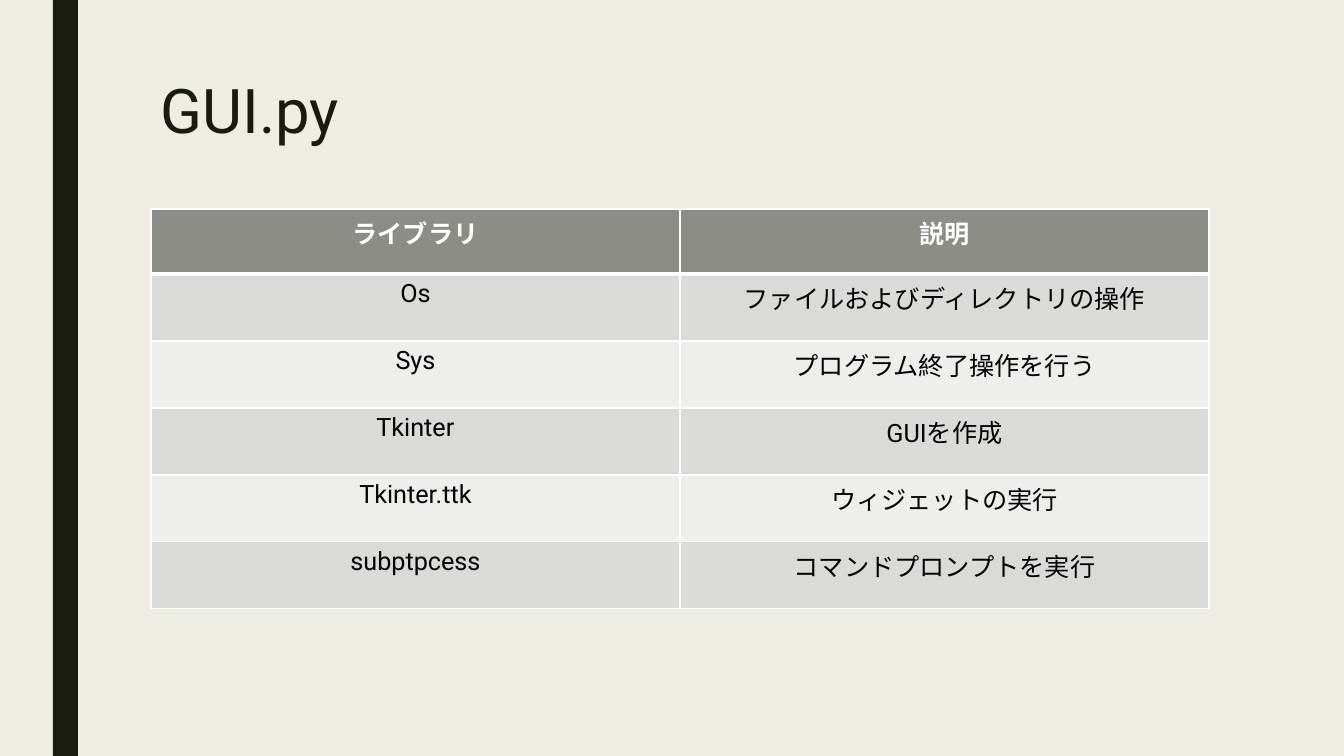
from lxml.etree import SubElement
from pptx import Presentation
from pptx.dml.color import RGBColor as RGB
from pptx.enum.shapes import MSO_SHAPE as SHAPE
from pptx.enum.text import MSO_ANCHOR as ANCHOR, PP_ALIGN as ALIGN
from pptx.oxml.ns import qn
from pptx.util import Pt

PX = 914400 / 100.8
FONT = "Roboto"
CREAM = RGB(0xEF, 0xED, 0xE3)
DARK = RGB(0x19, 0x1B, 0x0E)
GRAY = RGB(0x8C, 0x8D, 0x86)
BANDS = [RGB(0xDA, 0xDB, 0xD9), RGB(0xEE, 0xEE, 0xED)]
WHITE = RGB(0xFF, 0xFF, 0xFF)
BLACK = RGB(0, 0, 0)

ROWS = [
    ("ライブラリ", "説明"),
    ("Os", "ファイルおよびディレクトリの操作"),
    ("Sys", "プログラム終了操作を行う"),
    ("Tkinter", "GUIを作成"),
    ("Tkinter.ttk", "ウィジェットの実行"),
    ("subptpcess", "コマンドプロンプトを実行"),
]
HEAD_H, ROW_H = 65, 67


def emu(*vals):
    return [round(v * PX) for v in vals]


def style(para, size, color, bold=False):
    font = para.font
    font.name, font.size, font.bold = FONT, Pt(size), bold
    font.color.rgb = color


def add_bar(slide, box):
    bar = slide.shapes.add_shape(SHAPE.RECTANGLE, *emu(*box))
    bar.shadow.inherit = False
    bar.fill.solid()
    bar.fill.fore_color.rgb = DARK
    bar.line.fill.background()


def add_title(slide, box, text):
    frame = slide.shapes.add_textbox(*emu(*box)).text_frame
    frame.word_wrap = True
    frame.vertical_anchor = ANCHOR.TOP
    para = frame.paragraphs[0]
    para.text = text
    para.line_spacing = 0.89
    style(para, 44, DARK)


def add_edges(cell, top, base):
    # Edges must come before the fill, which is set afterwards
    props = cell._tc.get_or_add_tcPr()
    for side, width in zip("LRTB", (1, 1, top, base)):
        line = SubElement(props, qn(f"a:ln{side}"), w=str(Pt(width)))
        fill = SubElement(line, qn("a:solidFill"))
        SubElement(fill, qn("a:srgbClr"), val=str(WHITE))


def add_grid(slide, box, rows):
    shape = slide.shapes.add_table(len(rows), len(rows[0]), *emu(*box))
    table = shape.table
    for r, texts in enumerate(rows):
        head = r == 0
        table.rows[r].height = emu(HEAD_H if head else ROW_H)[0]
        for c, text in enumerate(texts):
            cell = table.cell(r, c)
            # A thick rule parts the header from the body
            add_edges(cell, 3 if r == 1 else 1, 3 if head else 1)
            cell.fill.solid()
            cell.fill.fore_color.rgb = GRAY if head else BANDS[(r - 1) % 2]
            para = cell.text_frame.paragraphs[0]
            para.text = text
            para.alignment = ALIGN.CENTER
            style(para, 18, WHITE if head else BLACK, head)


def build(deck):
    slide = deck.slides.add_slide(deck.slide_layouts[6])
    slide.background.fill.solid()
    slide.background.fill.fore_color.rgb = CREAM
    add_bar(slide, (53, 0, 25, 756))
    add_title(slide, (151, 76, 1058, 163), "GUI.py")
    height = HEAD_H + ROW_H * (len(ROWS) - 1)
    add_grid(slide, (151, 209, 1058, height), ROWS)


deck = Presentation()
deck.slide_width, deck.slide_height = emu(1344, 756)
build(deck)
deck.save("out.pptx")
